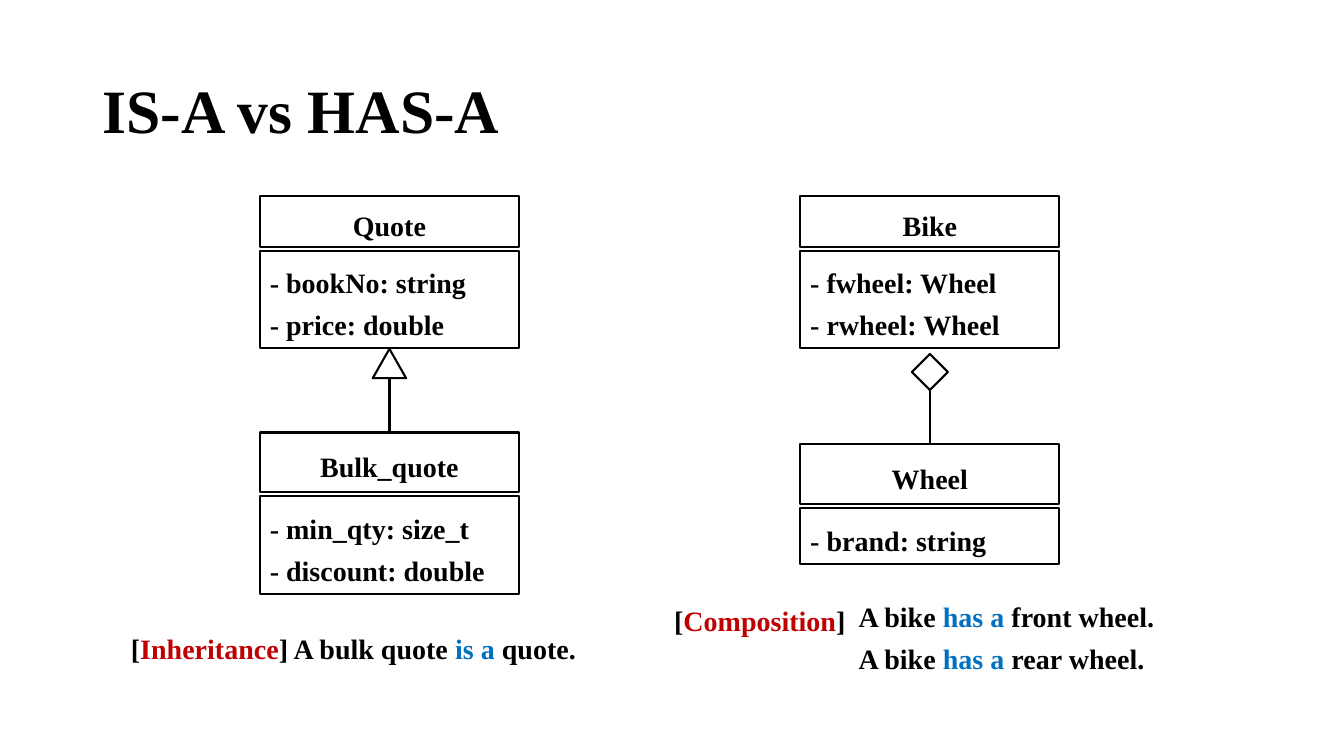
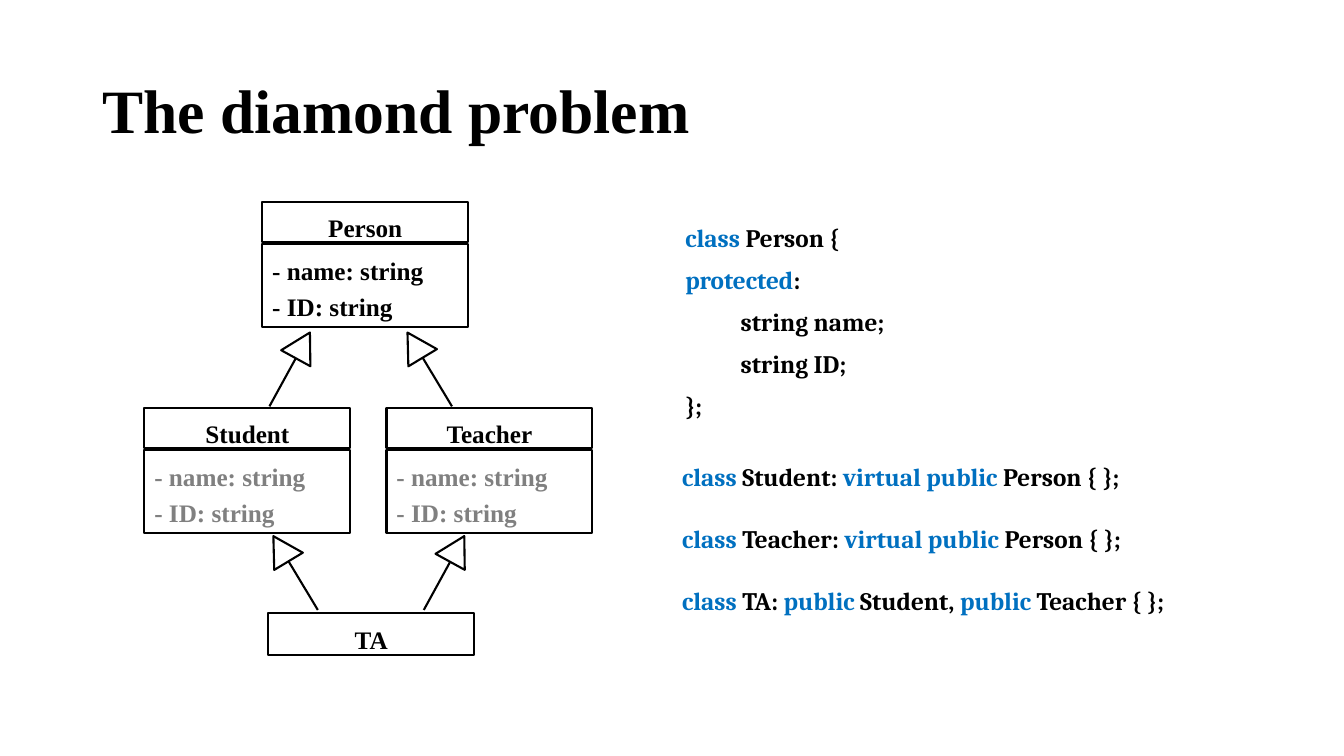
from math import atan2, cos, degrees, sin

from lxml.etree import SubElement
from pptx import Presentation
from pptx.dml.color import RGBColor
from pptx.enum.shapes import MSO_CONNECTOR, MSO_SHAPE as SHAPE
from pptx.enum.text import MSO_ANCHOR as ANCHOR, PP_ALIGN as ALIGN
from pptx.oxml.ns import qn
from pptx.util import Cm, Pt

BLACK = RGBColor(0x00, 0x00, 0x00)
WHITE = RGBColor(0xFF, 0xFF, 0xFF)
GRAY = RGBColor(0x80, 0x80, 0x80)
RED = RGBColor(0xC0, 0x00, 0x00)
BLUE = RGBColor(0x00, 0x70, 0xC0)
SERIF, CODE = "Times New Roman", "Cambria"
LINE_W = Pt(1.5)
MARKERS = {SHAPE.ISOSCELES_TRIANGLE: (0.84, 0.74), SHAPE.DIAMOND: (0.91, 0.91)}


def write(sp, lines, size, spacing=Pt(30), font=SERIF, color=BLACK,
          align=ALIGN.JUSTIFY, anchor=ANCHOR.TOP):
    """Fill a shape; each line is a list of strings or (string, colour) pairs."""
    tf = sp.text_frame
    tf.word_wrap = True
    tf.vertical_anchor = anchor
    for i, line in enumerate(lines):
        p = tf.paragraphs[0] if i == 0 else tf.add_paragraph()
        p.alignment, p.line_spacing = align, spacing
        p.font.name, p.font.size, p.font.bold = font, Pt(size), True
        for part in line:
            text, run_color = (part, color) if isinstance(part, str) else part
            r = p.add_run()
            r.text = text
            r.font.color.rgb = run_color


def add_text(s, x, y, w, h, lines, size, **style):
    write(s.shapes.add_textbox(Cm(x), Cm(y), Cm(w), Cm(h)), lines, size, **style)


def add_outline(s, kind, x, y, w, h):
    sp = s.shapes.add_shape(kind, Cm(x), Cm(y), Cm(w), Cm(h))
    sp.shadow.inherit = False
    sp.fill.background()
    sp.line.color.rgb, sp.line.width = BLACK, LINE_W
    return sp


def add_class(s, x, y, w, name, fields=(), head_h=1.27, body_h=2.46, gap=0.1,
              size=20, spacing=Pt(30), color=BLACK):
    """Draw a class as a name box above a field box; return the name box."""
    head = add_outline(s, SHAPE.RECTANGLE, x, y, w, head_h)
    write(head, [[name]], size, align=ALIGN.CENTER, anchor=ANCHOR.MIDDLE)
    if fields:
        body = add_outline(s, SHAPE.RECTANGLE, x, y + head_h + gap, w, body_h)
        write(body, [["- " + field] for field in fields], size, spacing,
              color=color, align=ALIGN.LEFT, anchor=ANCHOR.MIDDLE)
    return head


def add_relation(s, tail, tip, kind=SHAPE.ISOSCELES_TRIANGLE, source=None):
    """Draw a line from tail that ends in a hollow marker pointing at tip."""
    (x1, y1), (x2, y2) = tail, tip
    angle = atan2(x2 - x1, y1 - y2)
    w, h = MARKERS[kind]
    dx, dy = h * sin(angle), -h * cos(angle)
    cx, cy = x2 - dx / 2, y2 - dy / 2
    line = s.shapes.add_connector(MSO_CONNECTOR.STRAIGHT, Cm(x1), Cm(y1),
                                  Cm(x2 - dx), Cm(y2 - dy))
    line.line.color.rgb, line.line.width = BLACK, LINE_W
    SubElement(line._element.spPr, qn("a:effectLst"))
    marker = add_outline(s, kind, cx - w / 2, cy - h / 2, w, h)
    marker.fill.solid()
    marker.fill.fore_color.rgb = WHITE
    marker.rotation = degrees(angle)
    if source is not None:
        line.begin_connect(source, 0)
    if kind == SHAPE.DIAMOND:
        line.end_connect(marker, 2)


def add_slide(prs, title):
    s = prs.slides.add_slide(prs.slide_layouts[6])
    add_text(s, 2.33, 1.01, 29.21, 3.68, [[title]], 44, spacing=0.9,
             align=ALIGN.LEFT, anchor=ANCHOR.MIDDLE)
    return s


def add_inheritance(s, x, y, w):
    mid = x + w / 2
    add_class(s, x, y, w, "Quote", ["bookNo: string", "price: double"])
    bulk = add_class(s, x, y + 5.95, w, "Bulk_quote",
                     ["min_qty: size_t", "discount: double"], head_h=1.5)
    add_relation(s, (mid, y + 5.95), (mid, y + 3.84), source=bulk)
    add_text(s, x - 3.5, y + 10.42, 11.9, 1.4,
             [["[", ("Inheritance", RED), "] A bulk quote ", ("is a", BLUE),
               " quote."]], 20, spacing=1.5)


def add_composition(s, x, y, w):
    mid = x + w / 2
    add_class(s, x, y, w, "Bike", ["fwheel: Wheel", "rwheel: Wheel"])
    wheel = add_class(s, x, y + 6.25, w, "Wheel", ["brand: string"],
                      head_h=1.5, body_h=1.42)
    add_relation(s, (mid, y + 6.25), (mid, y + 3.97), SHAPE.DIAMOND, wheel)
    add_text(s, x - 3.43, y + 9.7, 5, 1.4,
             [["[", ("Composition", RED), "]"]], 20, spacing=1.5)
    add_text(s, x + 1.22, y + 9.83, 8.9, 2.31,
             [["A bike ", ("has a", BLUE), f" {end} wheel."]
              for end in ("front", "rear")], 20)


def add_diamond(s, x, y):
    fields = ["name: string", "ID: string"]
    small = dict(head_h=0.99, body_h=2.11, gap=0.05, size=18, spacing=Pt(26))
    w = 5.19
    add_class(s, x + 2.97, y, w, "Person", fields, **small)
    add_class(s, x, y + 5.19, w, "Student", fields, color=GRAY, **small)
    add_class(s, x + 6.1, y + 5.19, w, "Teacher", fields, color=GRAY, **small)
    add_class(s, x + 3.12, y + 10.34, w, "TA", head_h=1.07, size=18)
    for tail, tip in [((3.15, 5.14), (4.17, 3.28)), ((7.75, 5.14), (6.63, 3.28)),
                      ((4.37, 10.27), (3.25, 8.41)), ((7.04, 10.27), (8.06, 8.41))]:
        add_relation(s, (x + tail[0], y + tail[1]), (x + tip[0], y + tip[1]))


def add_code(s, x, y):
    keyword = ("class", BLUE)
    public, virtual = ("public", BLUE), ("virtual public", BLUE)
    add_text(s, x + 0.08, y, 6.05, 5.49,
             [[keyword, " Person {"], [("protected", BLUE), ":"],
              ["          string name;"], ["          string ID;"], ["};"]],
             18, font=CODE)
    derived = [[keyword, " Student: ", virtual, " Person { };"],
               [keyword, " Teacher: ", virtual, " Person { };"],
               [keyword, " TA: ", public, " Student, ", public, " Teacher { };"]]
    for i, line in enumerate(derived):
        add_text(s, x, y + 6.02 + 1.57 * i, 13.5, 1.19, [line], 18, font=CODE)


def main():
    prs = Presentation()
    prs.slide_width, prs.slide_height = Cm(33.87), Cm(19.05)
    s = add_slide(prs, "IS-A vs HAS-A")
    add_inheritance(s, 6.55, 4.95, 6.53)
    add_composition(s, 20.17, 4.95, 6.53)
    s = add_slide(prs, "The diamond problem")
    add_diamond(s, 3.64, 5.1)
    add_code(s, 16.94, 5.18)
    prs.save("out.pptx")


if __name__ == "__main__":
    main()
